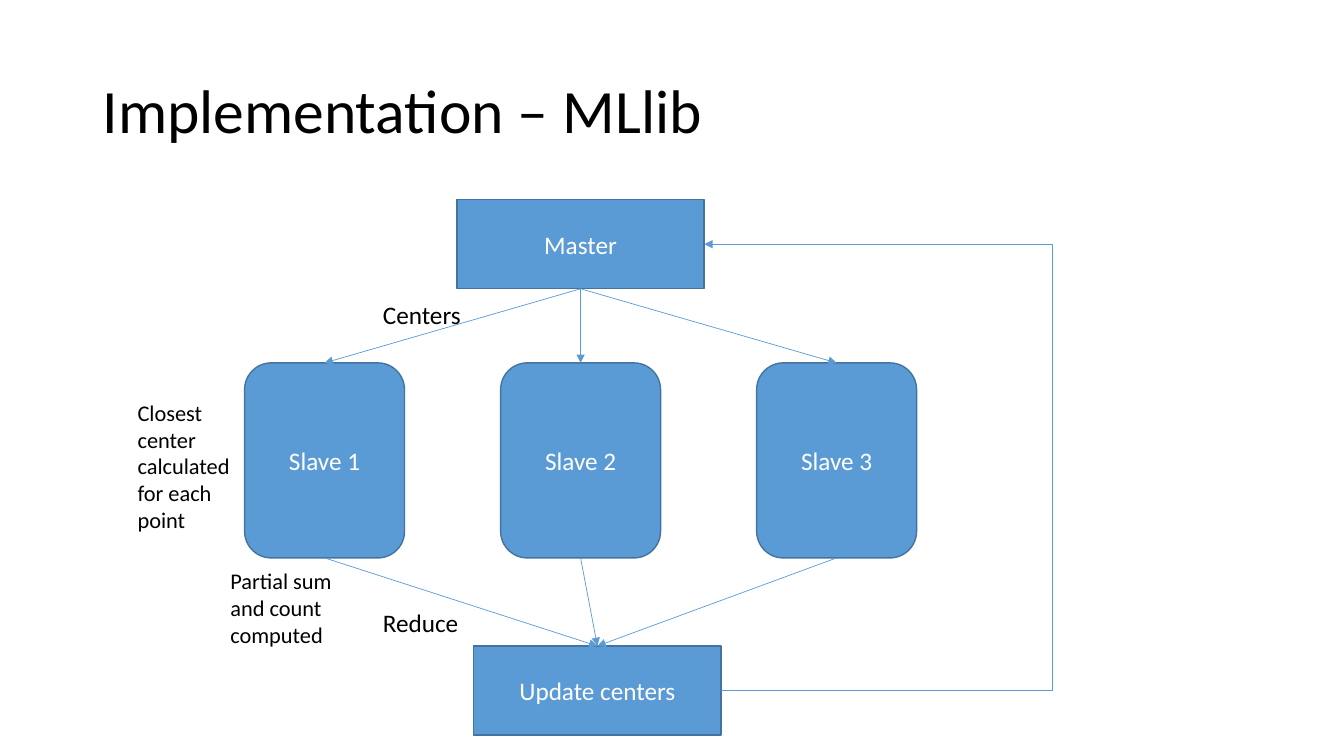
from dataclasses import dataclass

from lxml.etree import SubElement
from pptx import Presentation
from pptx.dml.color import RGBColor
from pptx.enum.shapes import MSO_CONNECTOR, MSO_SHAPE
from pptx.enum.text import MSO_ANCHOR, MSO_AUTO_SIZE, PP_ALIGN
from pptx.oxml.ns import qn
from pptx.util import Inches, Pt

TOP, BOTTOM, RIGHT = 0, 2, 3


@dataclass(frozen=True)
class Theme:
    font: str = "Calibri"
    ink: str = "000000"
    paper: str = "FFFFFF"
    accent: str = "5B9BD5"
    outline: str = "43739E"
    title_size: float = 44
    body_size: float = 18
    note_size: float = 16
    outline_width: float = 1
    arrow_width: float = 0.5


class Diagram:
    def __init__(self, deck, theme):
        self.theme = theme
        self.slide = deck.slides.add_slide(deck.slide_layouts[6])
        self.column = deck.slide_width / 100
        self.row = deck.slide_height / 100

    def place(self, left, top, width, height):
        return (round(left * self.column), round(top * self.row),
                round(width * self.column), round(height * self.row))

    def set_words(self, frame, words, size, color):
        frame.word_wrap = True
        frame.text = words
        paragraph = frame.paragraphs[0]
        paragraph.font.name = self.theme.font
        paragraph.font.size = Pt(size)
        paragraph.font.color.rgb = RGBColor.from_string(color)
        return paragraph

    def title(self, words, *area):
        frame = self.slide.shapes.add_textbox(*self.place(*area)).text_frame
        heading = self.set_words(frame, words, self.theme.title_size, self.theme.ink)
        heading.line_spacing = 0.9
        frame.vertical_anchor = MSO_ANCHOR.MIDDLE

    def label(self, words, size, *area):
        frame = self.slide.shapes.add_textbox(*self.place(*area)).text_frame
        self.set_words(frame, words, size, self.theme.ink)
        frame.auto_size = MSO_AUTO_SIZE.SHAPE_TO_FIT_TEXT

    def node(self, words, outline, center, top, width, height):
        area = self.place(center - width / 2, top, width, height)
        node = self.slide.shapes.add_shape(outline, *area)
        node.shadow.inherit = False
        node.fill.solid()
        node.fill.fore_color.rgb = RGBColor.from_string(self.theme.accent)
        node.line.color.rgb = RGBColor.from_string(self.theme.outline)
        node.line.width = Pt(self.theme.outline_width)
        node.text_frame.vertical_anchor = MSO_ANCHOR.MIDDLE
        caption = self.set_words(node.text_frame, words, self.theme.body_size, self.theme.paper)
        caption.alignment = PP_ALIGN.CENTER
        return node

    def arrow(self, source, source_site, target, target_site, route=MSO_CONNECTOR.STRAIGHT):
        arrow = self.slide.shapes.add_connector(route, 0, 0, 0, 0)
        arrow.begin_connect(source, source_site)
        arrow.end_connect(target, target_site)
        arrow.line.color.rgb = RGBColor.from_string(self.theme.accent)
        arrow.line.width = Pt(self.theme.arrow_width)
        properties = arrow.element.spPr
        SubElement(properties.find(qn("a:ln")), qn("a:tailEnd"), type="triangle")
        SubElement(properties, qn("a:effectLst"))
        return arrow

    def loop(self, source, target, lane):
        loop = self.arrow(source, RIGHT, target, RIGHT, MSO_CONNECTOR.ELBOW)
        bend = (loop.begin_x - lane * self.column) / (loop.begin_x - loop.end_x)
        geometry = loop.element.spPr.find(qn("a:prstGeom"))
        SubElement(geometry.find(qn("a:avLst")), qn("a:gd"),
                   name="adj1", fmla=f"val {round(bend * 100000)}")


def main():
    deck = Presentation()
    deck.slide_width, deck.slide_height = Inches(13.33), Inches(7.5)
    theme = Theme()
    diagram = Diagram(deck, theme)
    diagram.title("Implementation – MLlib", 6.9, 5.33, 86.25, 19.33)

    axis, pitch = 43.2, 19.05
    master = diagram.node("Master", MSO_SHAPE.RECTANGLE, axis, 26.4, 18.4, 11.8)
    update = diagram.node("Update centers", MSO_SHAPE.RECTANGLE, 44.45, 85.45, 18.4, 11.8)
    for number in (1, 2, 3):
        slave = diagram.node(f"Slave {number}", MSO_SHAPE.ROUNDED_RECTANGLE,
                             axis + (number - 2) * pitch, 48, 11.9, 25.8)
        diagram.arrow(master, BOTTOM, slave, TOP)
        diagram.arrow(slave, BOTTOM, update, TOP)
    diagram.loop(update, master, 78.3)

    for step, top in (("Centers", 38.95), ("Reduce", 79.65)):
        diagram.label(step, theme.body_size, 27.75, top, 11.85, 5.35)
    diagram.label("Closest center calculated for each point", theme.note_size,
                  9.5, 52.1, 8.7, 19.35)
    diagram.label("Partial sum and count computed", theme.note_size,
                  16.4, 74.4, 9.5, 12.1)
    deck.save("out.pptx")


if __name__ == "__main__":
    main()
